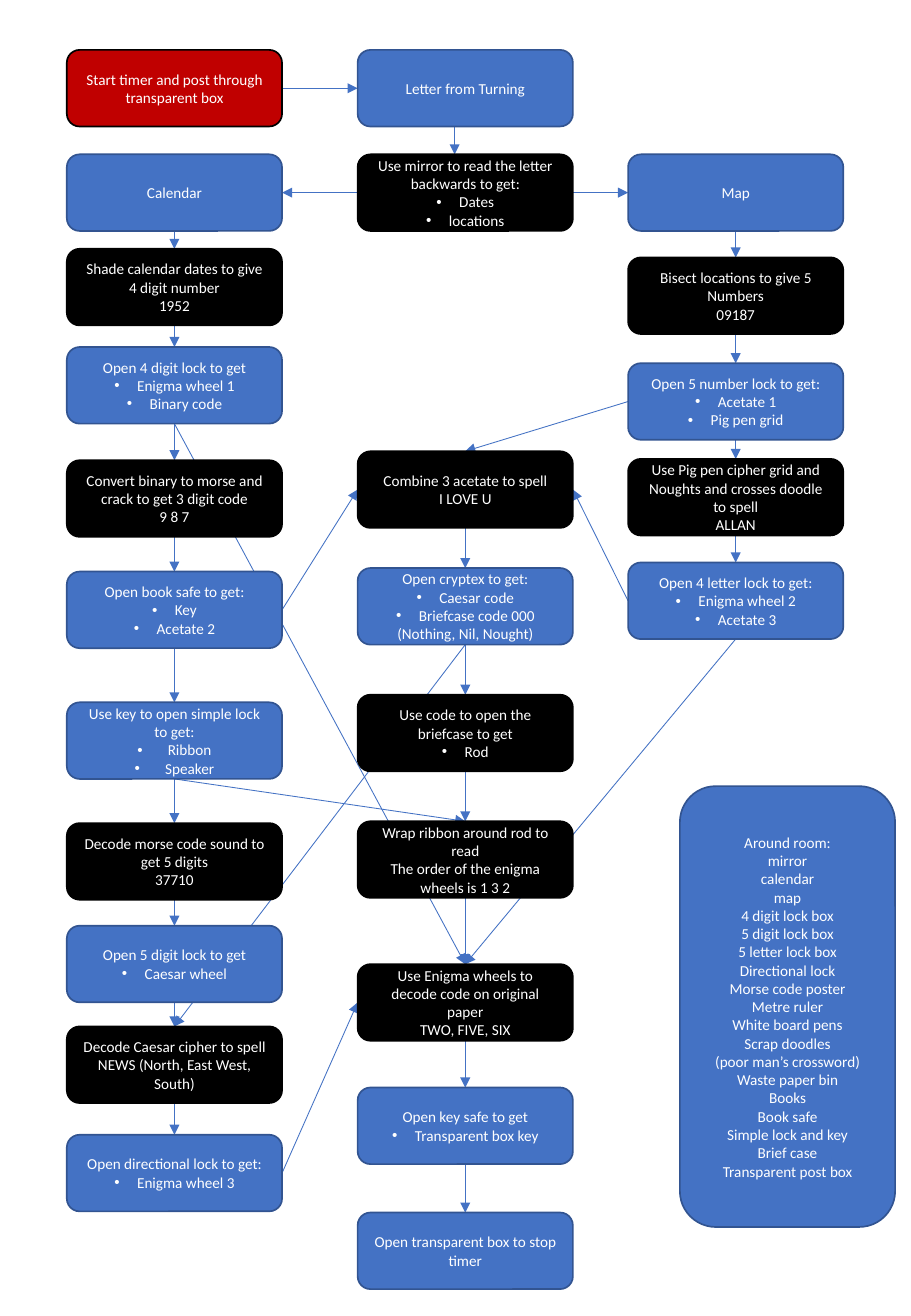
from lxml import etree
from pptx import Presentation
from pptx.dml.color import RGBColor
from pptx.enum.shapes import MSO_CONNECTOR, MSO_SHAPE
from pptx.enum.text import MSO_ANCHOR, PP_ALIGN
from pptx.oxml.ns import qn
from pptx.util import Pt

COLOURS = {"blue": "4472C4", "navy": "325491", "black": "000000",
           "red": "C00000", "white": "FFFFFF"}
# kind of step: fill, outline
STYLES = {"start": ("red", "black"), "item": ("blue", "navy"), "task": ("black", "black")}

COLUMNS = {"left": 39.6, "middle": 212, "right": 372.3}
STEP_WIDTH, STEP_HEIGHT = 127.6, 45.4
BULLET = "• "

# column: (key, top, kind, lines)
STEPS = {
    "left": [
        ("start", 29.6, "start", ["Start timer and post through transparent box"]),
        ("calendar", 91.5, "item", ["Calendar"]),
        ("shade", 147.5, "task", ["Shade calendar dates to give 4 digit number", "1952"]),
        ("4 digit", 205.7, "item", ["Open 4 digit lock to get", "• Enigma wheel 1",
                                    "• Binary code"]),
        ("binary", 272.8, "task", ["Convert binary to morse and crack to get 3 digit code",
                                   "9 8 7"]),
        ("book safe", 338.8, "item", ["Open book safe to get:", "• Key", "• Acetate 2"]),
        ("simple lock", 416.3, "item", ["Use key to open simple lock to get:", "• Ribbon",
                                        "• Speaker"]),
        ("morse", 487.9, "task", ["Decode morse code sound to get 5 digits", "37710"]),
        ("5 digit", 548.7, "item", ["Open 5 digit lock to get", "• Caesar wheel"]),
        ("caesar", 608.4, "task", ["Decode Caesar cipher to spell",
                                   "NEWS (North, East West, South)"]),
        ("directional", 672.6, "item", ["Open directional lock to get:", "• Enigma wheel 3"]),
    ],
    "middle": [
        ("letter", 29.6, "item", ["Letter from Turning"]),
        ("mirror", 91.5, "task", ["Use mirror to read the letter backwards to get:",
                                  "• Dates", "• locations"]),
        ("acetate", 267.5, "task", ["Combine 3 acetate to spell", "I LOVE U"]),
        ("cryptex", 336.7, "item", ["Open cryptex to get:", "• Caesar code",
                                    "• Briefcase code 000", "(Nothing, Nil, Nought)"]),
        ("briefcase", 411.8, "task", ["Use code to open the briefcase to get", "• Rod"]),
        ("ribbon", 486.8, "task", ["Wrap ribbon around rod to read",
                                   "The order of the enigma wheels is 1 3 2"]),
        ("enigma", 571.5, "task", ["Use Enigma wheels to decode code on original paper",
                                   "TWO, FIVE, SIX"]),
        ("key safe", 644.6, "item", ["Open key safe to get", "• Transparent box key"]),
        ("stop", 718.7, "item", ["Open transparent box to stop timer"]),
    ],
    "right": [
        ("map", 91.5, "item", ["Map"]),
        ("bisect", 152.6, "task", ["Bisect locations to give 5 Numbers", "09187"]),
        ("5 number", 215.3, "item", ["Open 5 number lock to get:", "• Acetate 1",
                                     "• Pig pen grid"]),
        ("pig pen", 272, "task", ["Use Pig pen cipher grid and Noughts and crosses doodle to spell",
                                  "ALLAN"]),
        ("4 letter", 333.4, "item", ["Open 4 letter lock to get:", "• Enigma wheel 2",
                                     "• Acetate 3"]),
    ],
}
BULLET_INDENT = 13.5
WIDE_INDENTS = {"simple lock": 18}

ROOM_PLACE = (403, 466, 127.6, 261.3)
ROOM_LINES = [
    "Around room:", "mirror", "calendar", "map", "4 digit lock box", "5 digit lock box",
    "5 letter lock box", "Directional lock", "Morse code poster", "Metre ruler",
    "White board pens", "Scrap doodles", "(poor man’s crossword)", "Waste paper bin",
    "Books", "Book safe", "Simple lock and key", "Brief case", "Transparent post box",
]

# Consecutive steps joined from bottom to top
CHAINS = [
    ["calendar", "shade", "4 digit", "binary", "book safe", "simple lock", "morse", "5 digit",
     "caesar", "directional"],
    ["acetate", "cryptex", "briefcase", "ribbon", "enigma", "key safe", "stop"],
    ["map", "bisect", "5 number", "pig pen", "4 letter"],
]
TOP, LEFT, BOTTOM, RIGHT = range(4)
CROSS_LINKS = [
    ("start", RIGHT, "letter", LEFT),
    ("mirror", LEFT, "calendar", RIGHT),
    ("mirror", RIGHT, "map", LEFT),
    ("book safe", RIGHT, "acetate", LEFT),
    ("5 number", LEFT, "acetate", TOP),
    ("4 letter", LEFT, "acetate", RIGHT),
    ("cryptex", BOTTOM, "caesar", TOP),
    ("directional", RIGHT, "enigma", LEFT),
    ("4 digit", BOTTOM, "enigma", TOP),
    ("4 letter", BOTTOM, "enigma", TOP),
    ("simple lock", BOTTOM, "ribbon", TOP),
]
LETTER_TO_MIRROR = (269.5, 62, 269.5, 91.5)


def colour(name):
    return RGBColor.from_string(COLOURS[name])


def add_bullet(paragraph, indent):
    properties = paragraph._p.get_or_add_pPr()
    properties.set("marL", str(Pt(indent)))
    properties.set("indent", str(-Pt(indent)))
    etree.SubElement(properties, qn("a:buFont"), typeface="Arial")
    etree.SubElement(properties, qn("a:buChar"), char=BULLET.strip())


def add_box(slide, place, kind, lines, indent=BULLET_INDENT):
    box = slide.shapes.add_shape(MSO_SHAPE.ROUNDED_RECTANGLE, *map(Pt, place))
    fill, outline = STYLES[kind]
    box.shadow.inherit = False
    box.fill.solid()
    box.fill.fore_color.rgb = colour(fill)
    box.line.color.rgb = colour(outline)
    box.line.width = Pt(1)
    frame = box.text_frame
    frame.word_wrap = True
    frame.vertical_anchor = MSO_ANCHOR.MIDDLE
    frame.text = "\n".join(line.removeprefix(BULLET) for line in lines)
    for line, paragraph in zip(lines, frame.paragraphs):
        paragraph.alignment = PP_ALIGN.CENTER
        if line.startswith(BULLET):
            add_bullet(paragraph, indent)
        font = paragraph.runs[0].font
        font.name, font.size = "Calibri", Pt(9)
        font.color.rgb = colour("white")
    return box


def add_arrow(slide, ends=(0, 0, 0, 0)):
    arrow = slide.shapes.add_connector(MSO_CONNECTOR.STRAIGHT, *map(Pt, ends))
    arrow.line.color.rgb = colour("blue")
    arrow.line.width = Pt(0.5)
    etree.SubElement(arrow.line._get_or_add_ln(), qn("a:tailEnd"), type="triangle")
    etree.SubElement(arrow._element.spPr, qn("a:effectLst"))
    return arrow


def main():
    presentation = Presentation()
    presentation.slide_width, presentation.slide_height = Pt(540), Pt(780)
    slide = presentation.slides.add_slide(presentation.slide_layouts[6])

    add_box(slide, ROOM_PLACE, "item", ROOM_LINES)
    boxes = {}
    for column, steps in STEPS.items():
        for key, top, kind, lines in steps:
            place = (COLUMNS[column], top, STEP_WIDTH, STEP_HEIGHT)
            boxes[key] = add_box(slide, place, kind, lines,
                                 WIDE_INDENTS.get(key, BULLET_INDENT))

    chain_links = [(upper, BOTTOM, lower, TOP)
                   for chain in CHAINS for upper, lower in zip(chain, chain[1:])]
    for origin, origin_side, target, target_side in chain_links + CROSS_LINKS:
        arrow = add_arrow(slide)
        arrow.begin_connect(boxes[origin], origin_side)
        arrow.end_connect(boxes[target], target_side)
    add_arrow(slide, LETTER_TO_MIRROR)

    # Steps lie in front of the arrows
    for box in boxes.values():
        slide.shapes.element.append(box.element)
    presentation.save("out.pptx")


if __name__ == "__main__":
    main()
